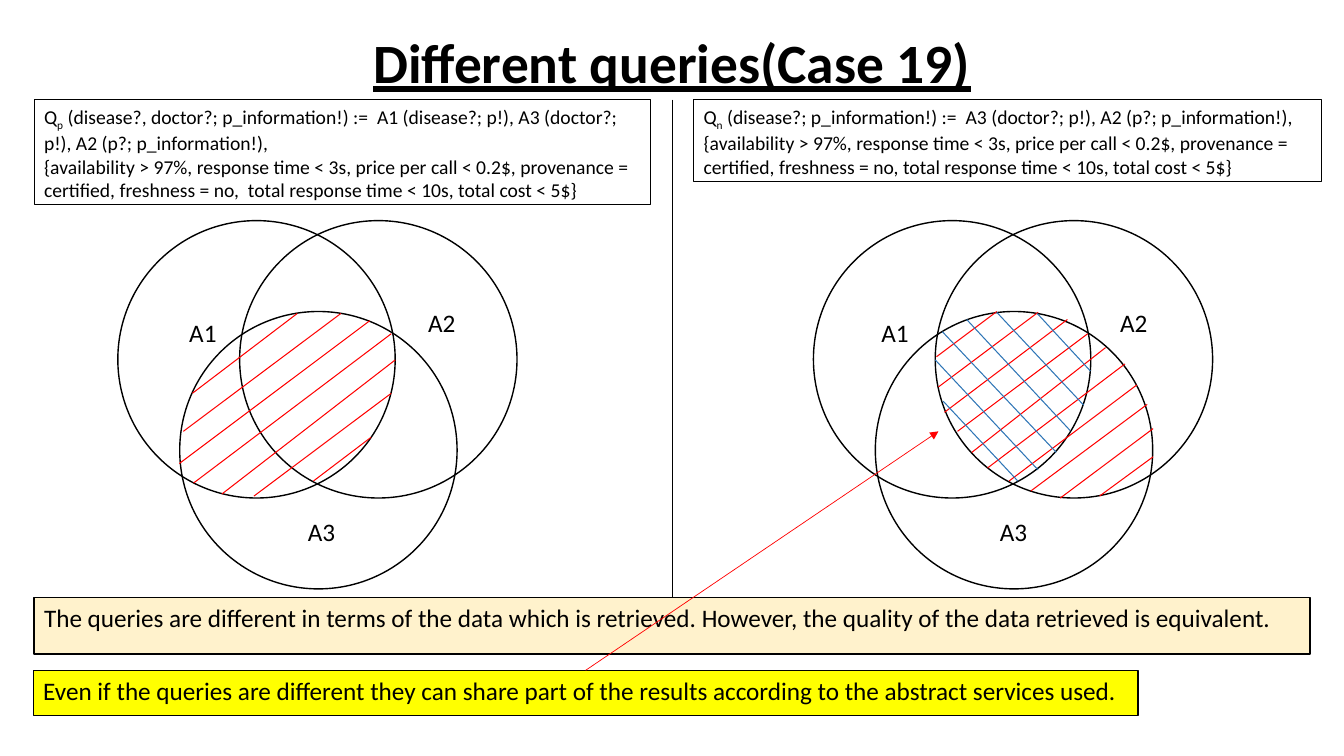
import pptx
import pptx.util
import pptx.dml.color
import pptx.enum.shapes
import pptx.enum.text
import pptx.oxml
import pptx.oxml.ns
from pptx.util import Cm

# Content
TITLE = "Different queries(Case 19)"
# Each query: left, top, width, height, then lines of (text, is subscript)
QUERIES = [
    ((0.86, 2.51, 15.54, 2.64), [
        [("Q", False), ("p", True),
         (" (disease?, doctor?; p_information!) :=  A1 (disease?; p!), "
          "A3 (doctor?; p!), A2 (p?; p_information!),", False)],
        [("{availability > 97%, response time < 3s, price per call < 0.2$, "
          "provenance = certified, freshness = no,  total response time < 10s, "
          "total cost < 5$}", False)]]),
    ((17.48, 2.51, 15.82, 2.06), [
        [("Q", False), ("n", True),
         (" (disease?; p_information!) :=  A3 (doctor?; p!), "
          "A2 (p?; p_information!),", False)],
        [("{availability > 97%, response time < 3s, price per call < 0.2$, "
          "provenance = certified, freshness = no, total response time < 10s, "
          "total cost < 5$}", False)]]),
]
NOTES = [
    ((0.86, 15.06, 32.16, 1.42), "cream",
     "The queries are different in terms of the data which is retrieved. "
     "However, the quality of the data retrieved is equivalent."),
    ((0.84, 16.89, 27.84, 1.14), "yellow",
     "Even if the queries are different they can share part of the results "
     "according to the abstract services used."),
]

# Venn diagrams: circle and label offsets from a diagram's corner
SIZE, TOP = 6.99, 5.56
CIRCLES = [(0, 0), (3.07, 0), (1.56, 2.29)]
LABELS = [("A1", 1.55, 2.3), ("A2", 7.57, 2.07), ("A3", 4.54, 7.33)]
# Left edge of each diagram, and the shift of its labels
VENNS = [(2.97, 0), (20.5, -0.09)]

# Hatch lines: from x, y to x, y
HATCH = {
    "red": [
        (4.85, 9.91, 7.49, 7.9), (4.62, 10.87, 8.59, 7.9),
        (4.52, 11.68, 9.32, 8.08), (4.88, 12.17, 9.86, 8.41),
        (5.59, 12.45, 9.96, 9.07), (6.4, 12.5, 9.86, 9.91),
        (7.9, 12.12, 9.35, 11.02),
        (23.6, 8.99, 25.12, 7.85), (23.65, 9.75, 26.16, 7.87),
        (23.8, 10.39, 26.9, 8.05), (24.13, 10.87, 27.41, 8.41),
        (24.49, 11.4, 27.86, 8.76), (24.89, 11.79, 28.35, 9.17),
        (25.43, 12.12, 28.65, 9.7), (25.98, 12.37, 28.91, 10.19),
        (26.72, 12.55, 29.06, 10.8), (27.71, 12.5, 29.06, 11.51)],
    "blue": [
        (25.65, 12.12, 23.77, 10.11), (26.16, 11.84, 23.57, 9.07),
        (26.62, 11.4, 23.75, 8.36), (26.97, 10.85, 24.36, 8.05),
        (27.31, 10.21, 25.12, 7.87), (27.48, 9.35, 26.14, 7.9)],
}
DIVIDER = (16.94, 2.51, 16.94, 15.54)
ARROW = (14.76, 16.89, 23.65, 10.87)

COLORS = {"black": "000000", "red": "FF0000", "blue": "2E75B6",
          "cream": "FFF2CC", "yellow": "FFFF00"}
FONT = "Calibri"
KIND = pptx.enum.shapes.MSO_SHAPE
ALIGN = pptx.enum.text.PP_ALIGN
ANCHOR = pptx.enum.text.MSO_ANCHOR

deck = pptx.Presentation()
deck.slide_width, deck.slide_height = Cm(33.87), Cm(19.05)
slide = deck.slides.add_slide(deck.slide_layouts[5])
shapes = slide.shapes


def color(name):
    return pptx.dml.color.RGBColor.from_string(COLORS[name])


def style(para, size, align=ALIGN.LEFT):
    para.alignment = align
    para.font.name = FONT
    para.font.size = pptx.util.Pt(size)
    para.font.color.rgb = color("black")


def outline(kind, box, width, fill=None):
    shape = shapes.add_shape(kind, *map(Cm, box))
    shape.shadow.inherit = False
    if fill:
        shape.fill.solid()
        shape.fill.fore_color.rgb = color(fill)
    else:
        shape.fill.background()
    shape.line.color.rgb = color("black")
    shape.line.width = pptx.util.Pt(width)
    shape.text_frame.vertical_anchor = ANCHOR.TOP
    return shape


def line(ends, name, width):
    link = shapes.add_connector(
        pptx.enum.shapes.MSO_CONNECTOR.STRAIGHT, *map(Cm, ends))
    link.line.color.rgb = color(name)
    link.line.width = pptx.util.Pt(width)
    props = link._element.spPr
    props.append(pptx.oxml.parse_xml(
        "<a:effectLst %s/>" % pptx.oxml.ns.nsdecls("a")))
    return link


# Title
title = shapes.title
title.left, title.top, title.width, title.height = map(
    Cm, (2.33, 0.79, 29.21, 1.73))
title.text_frame.text = TITLE
title.text_frame.vertical_anchor = ANCHOR.MIDDLE
head = title.text_frame.paragraphs[0]
style(head, 39.6, ALIGN.CENTER)
head.line_spacing = 0.9
head.font.bold = head.font.underline = True

# Divider
line(DIVIDER, "black", 0.5)

# Query boxes
for box, lines in QUERIES:
    frame = outline(KIND.RECTANGLE, box, 0.75).text_frame
    frame.word_wrap = True
    for i, runs in enumerate(lines):
        para = frame.add_paragraph() if i else frame.paragraphs[0]
        style(para, 14)
        for text, sub in runs:
            run = para.add_run()
            run.text = text
            if sub:
                run._r.get_or_add_rPr().set("baseline", "-25000")

# Venn diagrams
for left, shift in VENNS:
    for dx, dy in CIRCLES:
        outline(KIND.OVAL, (left + dx, TOP + dy, SIZE, SIZE), 1)
    for text, dx, dy in LABELS:
        label = shapes.add_textbox(
            *map(Cm, (left + dx + shift, TOP + dy, 1.22, 1.02)))
        label.text_frame.word_wrap = False
        label.text_frame.text = text
        style(label.text_frame.paragraphs[0], 18)

# Hatching
for name, strokes in HATCH.items():
    for ends in strokes:
        line(ends, name, 0.75)

# Notes
for box, fill, text in NOTES:
    note = outline(KIND.RECTANGLE, box, 1, fill)
    note.text_frame.word_wrap = True
    note.text_frame.text = text
    style(note.text_frame.paragraphs[0], 18, ALIGN.JUSTIFY)

# Arrow from the last note to the shared results
arrow = line(ARROW, "red", 0.5)
arrow.begin_connect(note, 0)
arrow.line._get_or_add_ln().append(pptx.oxml.parse_xml(
    '<a:tailEnd %s type="triangle"/>' % pptx.oxml.ns.nsdecls("a")))

deck.save("out.pptx")
